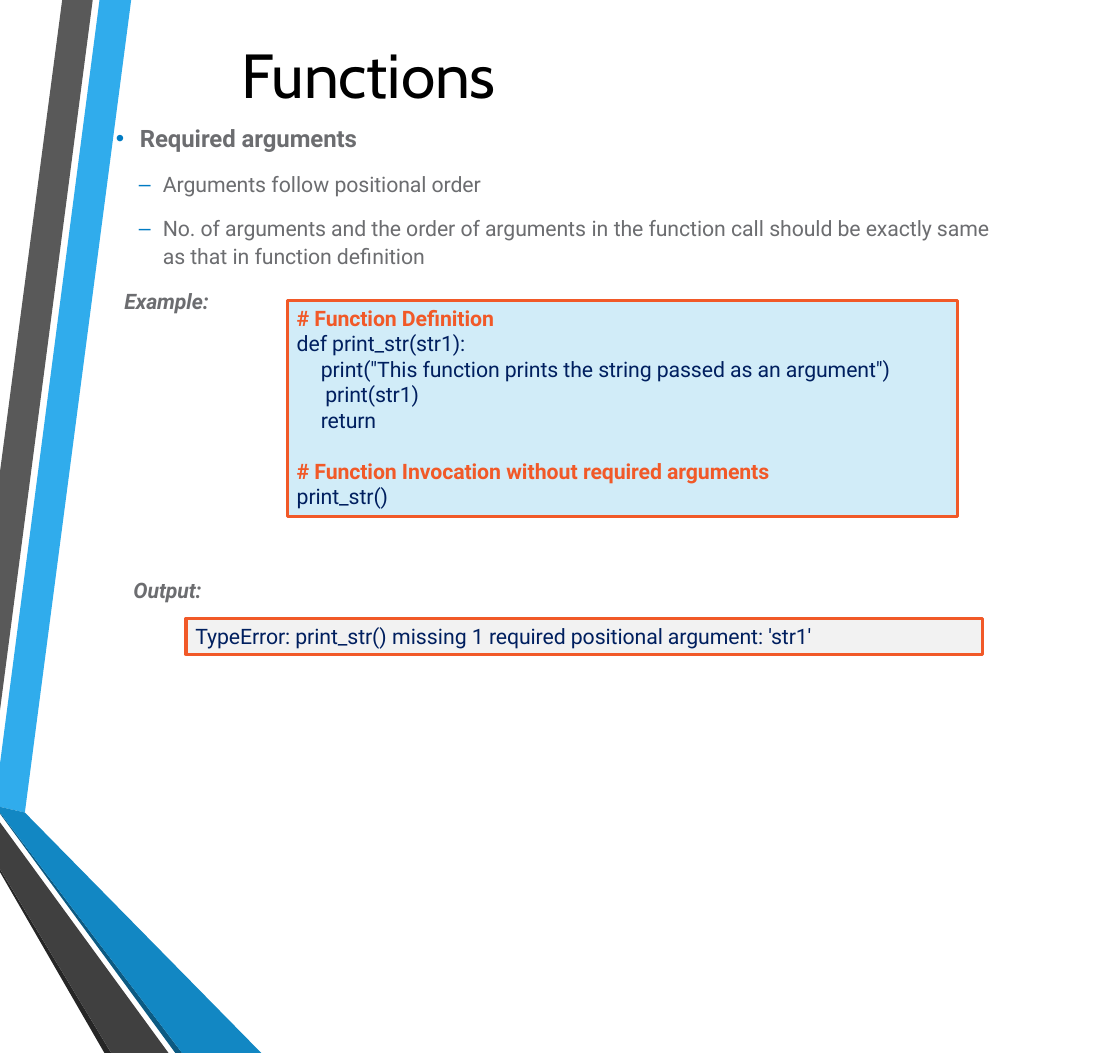
from lxml.etree import SubElement
from pptx import Presentation
from pptx.dml.color import RGBColor
from pptx.enum.shapes import MSO_SHAPE
from pptx.enum.text import MSO_ANCHOR, MSO_AUTO_SIZE, PP_ALIGN
from pptx.oxml.ns import qn
from pptx.util import Cm, Pt

HUES = {
    "sky": "30ACEC", "grey": "595959", "black": "262626", "deep": "0C5A82",
    "blue": "1287C3", "dark": "404040", "title": "000000", "text": "6C6D70",
    "bullet": "007BC3", "code": "001F5F", "edge": "F15928",
    "pale": "D1ECF8", "light": "F2F2F2",
}
SIZE = Pt(842), Pt(792)
HIGH = 27.94
BANDS = [
    ("sky", [(0, 20.27), (0, 21.41), (0.66, 21.56), (3.48, 0), (2.64, 0)]),
    ("grey", [(2.46, 0), (1.65, 0), (0, 12.52), (0, 18.85)]),
    ("black", [(0, 23.06), (0, 23.14), (2.77, HIGH), (2.95, HIGH)]),
    ("deep", [(0, 21.56), (0, 21.59), (4.65, HIGH), (4.83, HIGH)]),
    ("blue", [(0, 21.56), (4.83, HIGH), (6.93, HIGH), (0.66, 21.56), (0, 21.41)]),
    ("dark", [(0, 23.06), (2.95, HIGH), (4.47, HIGH), (0, 21.82)]),
]
TITLE = [dict(runs=["Functions"], size=46.8, hue="title", font="Cabin",
              align=PP_ALIGN.CENTER)]
LIST = [
    dict(runs=["Required arguments"], size=18, bold=True, left=0.69, mark="•"),
    dict(runs=["Arguments ", "follow ", "positional order"], level=1, left=1.3,
         before=14.1, mark="–"),
    dict(runs=["No. of arguments and the order of arguments ", "in ",
               "the function ", "call ", "should be exactly same as that ",
               "in ", "function definition"],
         level=1, left=1.3, before=12, line=1.1, mark="–"),
]
CODE = [
    dict(runs=["# Function Definition"], hue="edge", bold=True),
    dict(runs=["def print_str(str1):"], hue="code"),
    dict(runs=['print("This function prints the string passed as an argument")'],
         hue="code", left=0.64),
    dict(runs=["print(str1)"], hue="code", left=0.76),
    dict(runs=["return"], hue="code", left=0.64),
    dict(runs=["# Function Invocation ", "without ", "required arguments"],
         hue="edge", bold=True, before=19.2),
    dict(runs=["print_str()"], hue="code"),
]
ERROR = [dict(runs=["TypeError: print_str() ", "missing ",
                    "1 required positional argument: 'str1'"], hue="code")]
LABELS = [("Example:", (3.3, 7.64, 2.57, 0.74)), ("Output:", (3.54, 15.33, 2.57, 0.74))]
PANELS = [
    (CODE, "pale", (7.62, 7.97, 17.78, 5.74), MSO_ANCHOR.TOP),
    (ERROR, "light", (4.93, 16.41, 21.13, 0.95), MSO_ANCHOR.MIDDLE),
]


def tint(name):
    return RGBColor.from_string(HUES[name])


def style(para, runs, size=16, hue="text", font="Roboto", bold=False,
          slant=False, align=PP_ALIGN.LEFT, level=0, left=0, before=0,
          line=1.0, mark=None):
    para.level, para.alignment = level, align
    para.space_before, para.line_spacing = Pt(before), line
    props = para._p.get_or_add_pPr()
    props.set("marL", str(Cm(left)))
    props.set("indent", str(Cm(-0.64 if mark else 0)))
    if mark:
        color = SubElement(props, qn("a:buClr"))
        SubElement(color, qn("a:srgbClr"), val=HUES["bullet"])
        SubElement(props, qn("a:buChar"), char=mark)
    else:
        SubElement(props, qn("a:buNone"))
    for i, text in enumerate(runs):
        run = para.add_run()
        run.text = text
        face = run.font
        face.name, face.size, face.bold, face.italic = font, Pt(size), bold, slant
        face.color.rgb = tint(hue)
        run._r.get_or_add_rPr().set("spc", "0" if i % 2 else "-5")


def write(shape, rows, anchor=MSO_ANCHOR.TOP, side=0, top=0):
    frame = shape.text_frame
    frame.word_wrap, frame.auto_size = True, MSO_AUTO_SIZE.NONE
    frame.vertical_anchor = anchor
    frame.margin_left, frame.margin_right = Cm(side), Cm(side)
    frame.margin_top, frame.margin_bottom = Cm(top), Cm(0)
    for i, row in enumerate(rows):
        para = frame.add_paragraph() if i else frame.paragraphs[0]
        style(para, **row)


def place(shape, box):
    shape.left, shape.top, shape.width, shape.height = map(Cm, box)


def paint(shape, hue):
    shape.shadow.inherit = False
    shape.fill.solid()
    shape.fill.fore_color.rgb = tint(hue)


def band(shapes, hue, points, rank):
    first, *rest = [(Cm(x), Cm(y)) for x, y in points]
    pen = shapes.build_freeform(*first)
    pen.add_line_segments(rest, close=True)
    shape = pen.convert_to_shape()
    paint(shape, hue)
    shape.line.fill.background()
    shapes._spTree.insert(2 + rank, shape._element)


def panel(shapes, rows, hue, box, anchor):
    shape = shapes.add_shape(MSO_SHAPE.RECTANGLE, *map(Cm, box))
    paint(shape, hue)
    shape.line.color.rgb = tint("edge")
    shape.line.width = Pt(2.5)
    top = 0.12 if anchor == MSO_ANCHOR.TOP else 0
    write(shape, rows, anchor, side=0.25, top=top)


def main():
    """Build the slide on required arguments."""
    deck = Presentation()
    deck.slide_width, deck.slide_height = SIZE
    slide = deck.slides.add_slide(deck.slide_layouts[1])
    shapes = slide.shapes
    for rank, (hue, points) in enumerate(BANDS):
        band(shapes, hue, points, rank)
    title, body = shapes.title, slide.placeholders[1]
    place(title, (4.06, 1.11, 11.43, 1.68))
    write(title, TITLE, MSO_ANCHOR.MIDDLE)
    place(body, (3.02, 3.28, 23.37, 3.91))
    write(body, LIST)
    for item in PANELS:
        panel(shapes, *item)
    for text, box in LABELS:
        label = shapes.add_textbox(*map(Cm, box))
        write(label, [dict(runs=[text], bold=True, slant=True)])
    deck.save("out.pptx")


if __name__ == "__main__":
    main()
